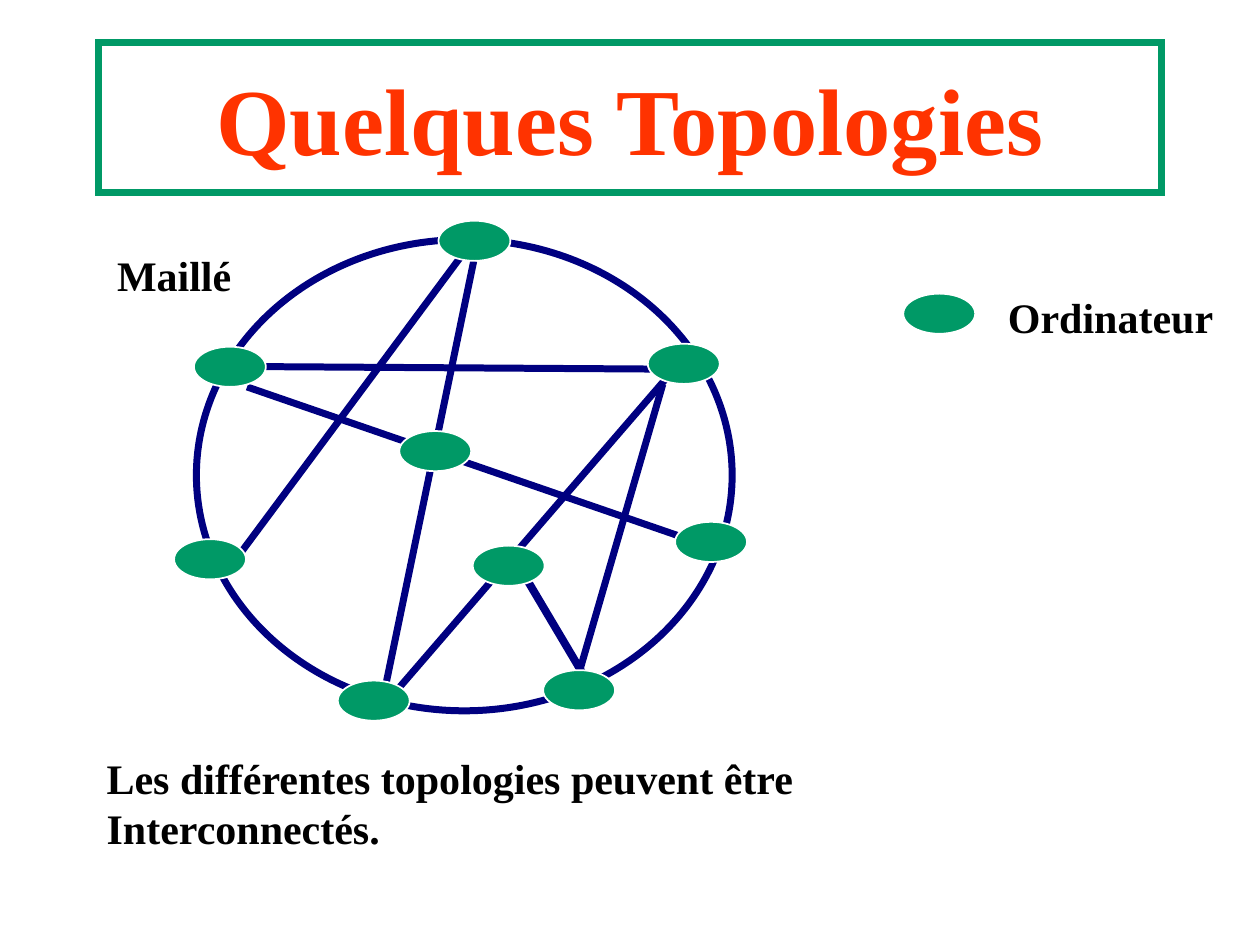
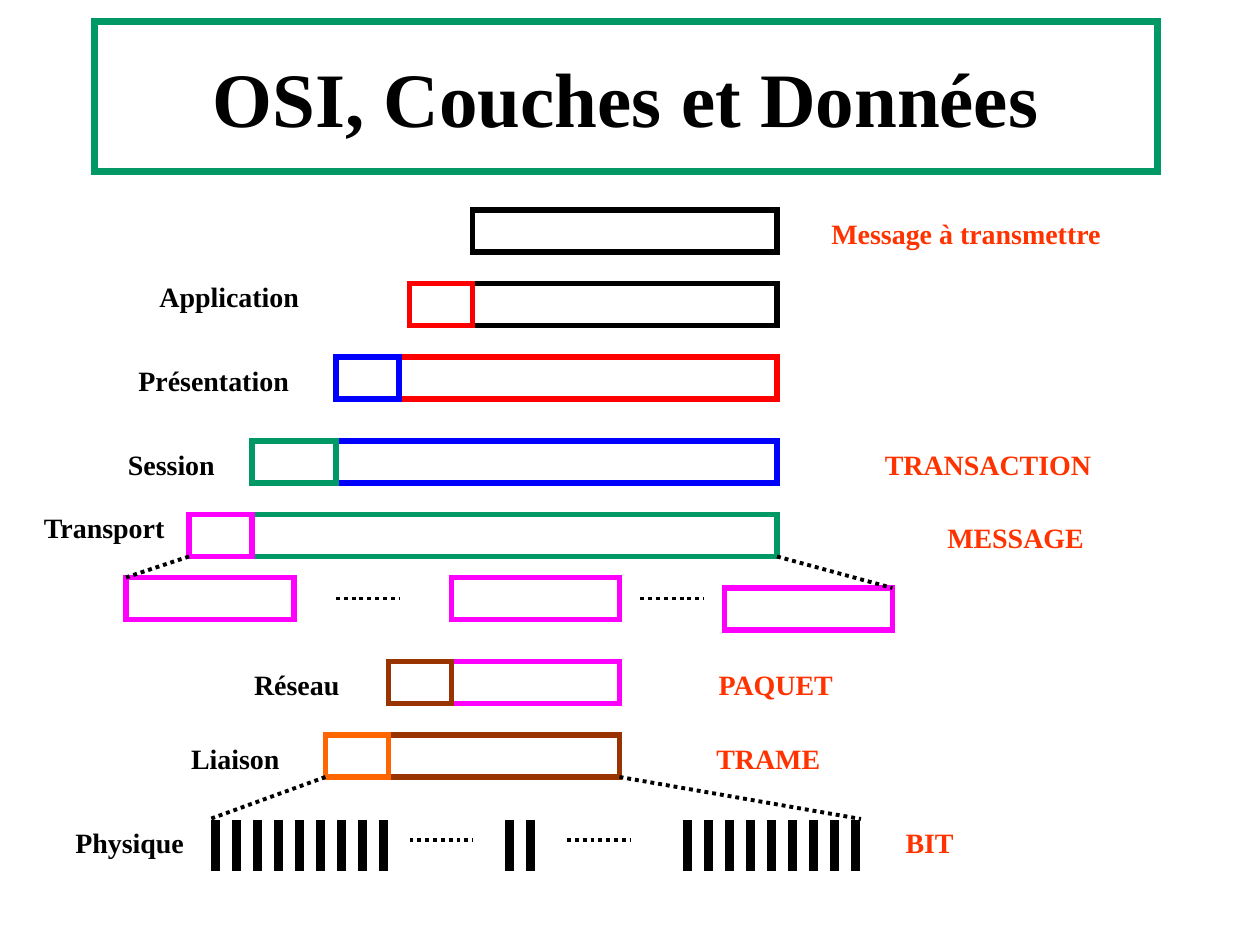
from pptx import Presentation
from pptx.dml.color import RGBColor
from pptx.enum.dml import MSO_LINE
from pptx.enum.shapes import MSO_CONNECTOR, MSO_SHAPE
from pptx.enum.text import MSO_ANCHOR, MSO_AUTO_SIZE, PP_ALIGN
from pptx.oxml.ns import qn
from pptx.util import Cm, Pt
from lxml.etree import SubElement

COLORS = {
    "white": "FFFFFF", "black": "000000", "accent": "FF3300",
    "green": "009966", "navy": "000080", "red": "FF0000",
    "blue": "0000FF", "magenta": "FF00FF", "brown": "993300",
    "orange": "FF6600",
}
FONT = {"name": "Times New Roman", "bold": True}
MARGINS = {"margin_left": Cm(0.25), "margin_right": Cm(0.25),
           "margin_top": Cm(0.13), "margin_bottom": Cm(0.13)}
TITLE_SIZE = (21.44, 3.02)
NODE_SIZE = (1.45, 0.81)
STEP = 2.54 / 12  # grid of the layer diagram, in cm
BAR_HEIGHT = 4    # in grid steps


def rgb(name):
    return RGBColor.from_string(COLORS[name])


def grid(*steps):
    return [n * STEP for n in steps]


def set_all(obj, values):
    for name, value in values.items():
        setattr(obj, name, value)


def style_line(line, color, width):
    line.color.rgb = rgb(color)
    line.width = Pt(width)


def style_outline(sp, color, width):
    style_line(sp.line, color, width)
    # Square corners
    SubElement(sp._element.spPr.find(qn("a:ln")), qn("a:miter"), lim="800000")


def write(tf, lines, size, color, align):
    set_all(tf, MARGINS)
    for i, text in enumerate(lines):
        p = tf.paragraphs[0] if i == 0 else tf.add_paragraph()
        p.alignment = align
        r = p.add_run()
        r.text = text
        set_all(r.font, {**FONT, "size": Pt(size)})
        r.font.color.rgb = rgb(color)


def add_title(s, text, left, top, size, color):
    sp = s.shapes.title
    set_all(sp, dict(zip(("left", "top", "width", "height"),
                         map(Cm, (left, top, *TITLE_SIZE)))))
    style_outline(sp, "green", 4)
    tf = sp.text_frame
    set_all(tf, {"vertical_anchor": MSO_ANCHOR.MIDDLE, "word_wrap": True,
                 "auto_size": MSO_AUTO_SIZE.NONE})
    write(tf, [text], size, color, PP_ALIGN.CENTER)


def add_text(s, area, *lines, size, color="black", align=PP_ALIGN.LEFT, wrap=False):
    tf = s.shapes.add_textbox(*map(Cm, area)).text_frame
    set_all(tf, {"word_wrap": wrap, "auto_size": MSO_AUTO_SIZE.SHAPE_TO_FIT_TEXT})
    write(tf, lines, size, color, align)


def add_box(s, kind, area, line, width, fill=None):
    sp = s.shapes.add_shape(kind, *map(Cm, area))
    sp.shadow.inherit = False
    if fill:
        sp.fill.solid()
        sp.fill.fore_color.rgb = rgb(fill)
    else:
        sp.fill.background()
    style_outline(sp, line, width)


def add_bar(s, left, top, width, color):
    add_box(s, MSO_SHAPE.RECTANGLE, grid(left, top, width, BAR_HEIGHT), color, 3)


def add_node(s, left, top):
    add_box(s, MSO_SHAPE.OVAL, (left, top, *NODE_SIZE), "white", 1, "green")


def add_line(s, ends, color, width, dash=None):
    c = s.shapes.add_connector(MSO_CONNECTOR.STRAIGHT, *map(Cm, ends))
    style_line(c.line, color, width)
    if dash:
        c.line.dash_style = dash
    SubElement(c._element.spPr, qn("a:effectLst"))


def topologies_slide(prs):
    s = prs.slides.add_slide(prs.slide_layouts[5])
    add_title(s, "Quelques Topologies", 1.98, 0.86, 54, "accent")

    # Legend and remark
    add_node(s, 18.21, 5.92)
    add_text(s, (20.07, 5.74, 4.65, 1.27), "Ordinateur", size=24)
    add_text(s, (1.9, 15.04, 14.38, 2.29), "Les différentes topologies peuvent être",
             "Interconnectés.", size=24)

    # Ring and cross links
    add_box(s, MSO_SHAPE.OVAL, (3.96, 4.83, 10.8, 9.5), "navy", 4)
    add_line(s, (10.59, 11.63, 11.86, 13.77), "navy", 4.5)
    links = [
        (9.55, 5.26, 7.77, 13.84), (13.21, 7.44, 5.21, 7.39),
        (4.7, 11.35, 9.3, 5.16), (13.82, 10.85, 4.98, 7.8),
        (13.41, 7.65, 7.98, 13.94), (13.36, 7.75, 11.68, 13.54),
    ]
    for link in links:
        add_line(s, link, "navy", 4)

    # Computers
    nodes = [
        (3.51, 10.87), (8.84, 4.45), (13.06, 6.93), (3.91, 6.99), (6.81, 13.72),
        (10.95, 13.51), (13.61, 10.52), (8.05, 8.69), (9.53, 11),
    ]
    for left, top in nodes:
        add_node(s, left, top)
    add_text(s, (2.11, 4.9, 2.82, 1.27), "Maillé", size=24)


def layers_slide(prs):
    s = prs.slides.add_slide(prs.slide_layouts[5])
    add_title(s, "OSI, Couches et Données", 1.9, 0.43, 44, "black")

    # Message, then each layer puts its header before the data of the layer above
    add_bar(s, 45, 20, 29, "black")
    layers = [  # top, header left, data left, data right, header colour
        (27, 39, 45, 74, "red"), (34, 32, 38, 74, "blue"),
        (42, 24, 32, 74, "green"), (49, 18, 24, 74, "magenta"),
        (63, 37, 43, 59, "brown"), (70, 31, 37, 59, "orange"),
    ]
    data_color = "black"
    for top, header, data, right, color in layers:
        add_bar(s, data, top, right - data, data_color)
        add_bar(s, header, top, data - header, color)
        data_color = color

    # Fragments of the transport message
    for left, top in [(12, 55), (43, 55), (69, 56)]:
        add_bar(s, left, top, 16, "magenta")

    # Bits
    for start, count in [(20, 9), (48, 2), (65, 9)]:
        for i in range(count):
            add_box(s, MSO_SHAPE.RECTANGLE, grid(start + 2 * i, 78, 1, 5),
                    "white", 1, "black")

    # Dotted lines
    dotted = [
        (18, 53, 12, 55), (74, 53, 85, 56), (32, 57, 38, 57), (61, 57, 67, 57),
        (31, 74, 20, 78), (59, 74, 82, 78), (39, 80, 45, 80), (54, 80, 60, 80),
    ]
    for ends in dotted:
        add_line(s, grid(*ends), "black", 2.25, MSO_LINE.ROUND_DOT)

    # Layer names and data units; right-aligned ones keep a fixed width with room to spare
    left, right = PP_ALIGN.LEFT, PP_ALIGN.RIGHT
    labels = {
        "black": [
            ("Application", 14, 26, 15.7, left), ("Présentation", 12, 34, 16.7, left),
            ("Session", 11, 42, 10.7, left), ("Transport", 3, 48, 14, left),
            ("Réseau", 22, 63, 11.5, right), ("Liaison", 16, 70, 11.8, right),
            ("Physique", 5, 78, 13.7, right),
        ],
        "accent": [
            ("TRANSACTION", 82, 42, 23.1, right), ("MESSAGE", 88, 49, 16.4, right),
            ("PAQUET", 66, 63, 14.5, right), ("TRAME", 66, 70, 13.3, right),
            ("BIT", 84, 78, 8, right),
        ],
    }
    for color, items in labels.items():
        for text, x, y, width, align in items:
            add_text(s, grid(x, y, width, 4.4), text, size=16, color=color,
                     align=align, wrap=align == right)
    add_text(s, grid(78, 20, 29, 4.4), "Message à transmettre", size=16,
             color="accent", wrap=True)


def main():
    prs = Presentation()
    prs.slide_width, prs.slide_height = Cm(25.4), Cm(19.05)
    topologies_slide(prs)
    layers_slide(prs)
    prs.save("out.pptx")


if __name__ == "__main__":
    main()
